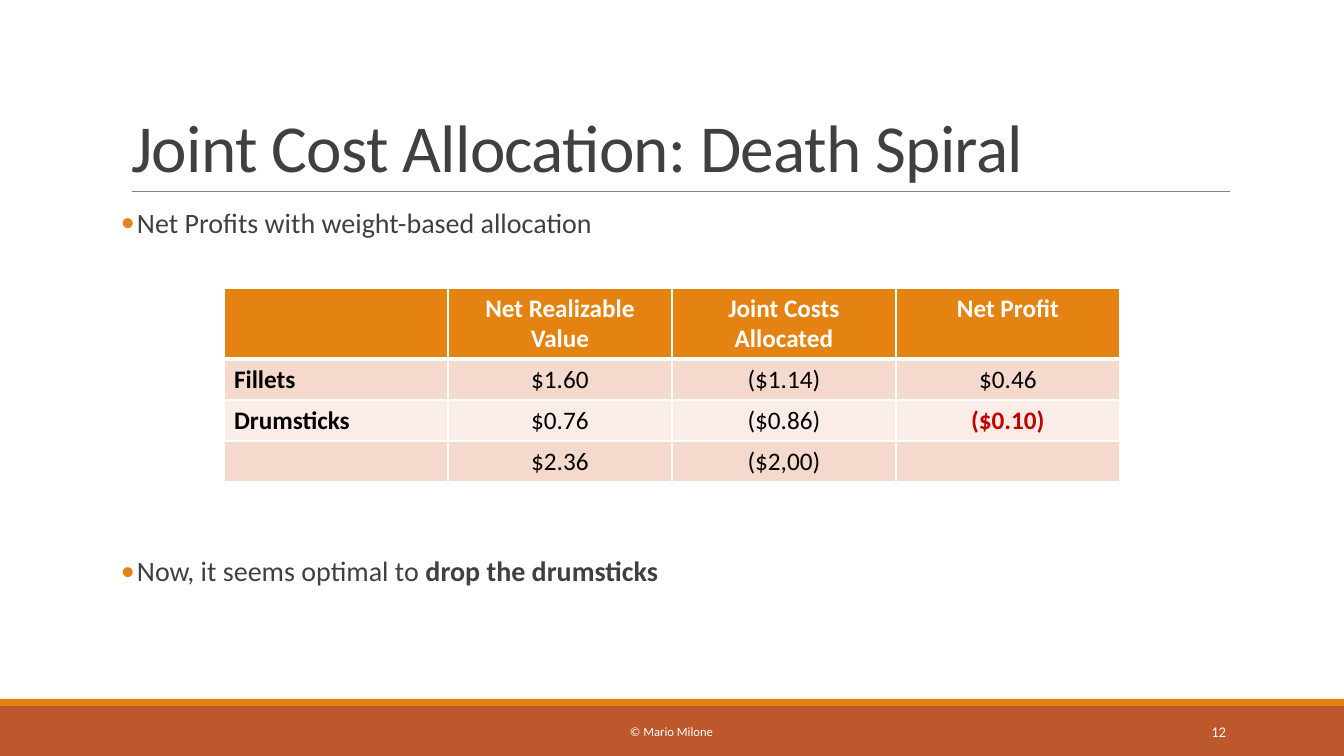
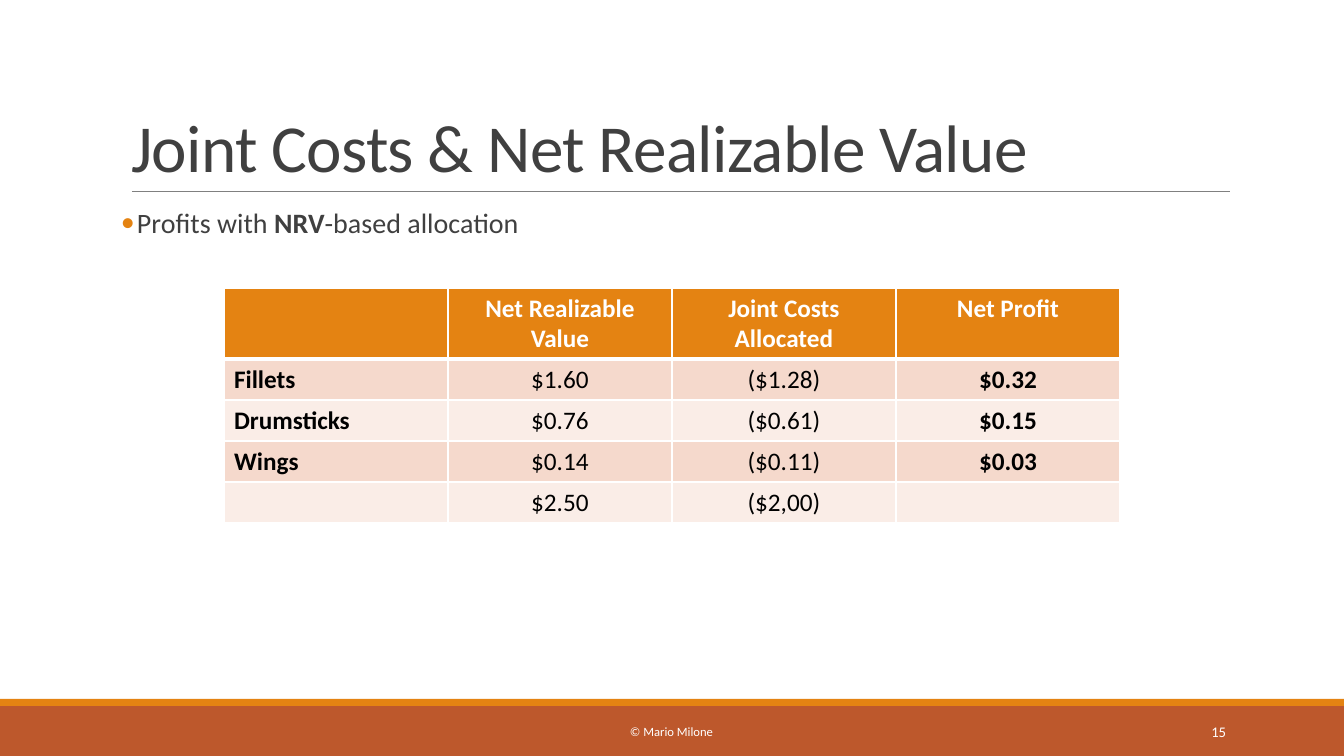
"""Two slides on joint cost allocation, each with a title, bullets and a table."""
from lxml.etree import SubElement
from pptx import Presentation
from pptx.dml.color import RGBColor
from pptx.enum.shapes import MSO_CONNECTOR, MSO_SHAPE
from pptx.enum.text import MSO_ANCHOR, MSO_AUTO_SIZE, PP_ALIGN
from pptx.oxml.ns import qn
from pptx.util import Pt

HUES = {
    "rust": "BD582C", "orange": "E48312", "rule": "808080", "text": "404040",
    "white": "FFFFFF", "black": "000000", "red": "C00000",
    "dark": "F5D9CC", "pale": "FAEDE7",
}
FONT = "Calibri"
CREDIT = "© Mario Milone"
HEADS = ["", "Net Realizable Value", "Joint Costs Allocated", "Net Profit"]
SLIDES = [
    {
        "title": "Joint Cost Allocation: Death Spiral",
        "number": 12,
        "points": [
            ("Net Profits with weight-based allocation", 0),
            ("Now, it seems optimal to **drop the drumsticks**", 225),
        ],
        "rows": [
            ["**Fillets**", "$1.60", "($1.14)", "$0.46"],
            ["**Drumsticks**", "$0.76", "($0.86)", "**($0.10)**"],
            ["", "$2.36", "($2,00)", ""],
        ],
    },
    {
        "title": "Joint Costs & Net Realizable Value",
        "number": 15,
        "points": [("Profits with **NRV**-based allocation", 0)],
        "rows": [
            ["**Fillets**", "$1.60", "($1.28)", "**$0.32**"],
            ["**Drumsticks**", "$0.76", "($0.61)", "**$0.15**"],
            ["**Wings**", "$0.14", "($0.11)", "**$0.03**"],
            ["", "$2.50", "($2,00)", ""],
        ],
    },
]

WIDE, HIGH = 1344, 756
BANDS = [("rust", 706, 50), ("orange", 699, 7)]
RULE = (132, 191, 1230, 191)
TITLE = (121, 31, 1109, 160)
BODY = (121, 204, 1109, 443)
FOOT = (406, 712, 531, 40)
PAGE = (1092, 712, 144, 40)
GRID = (224, 288)
COL, HEAD, ROW = 224, 71, 41
HANG = 16


def px(size):
    return round(size * 914400 / 100.8)


def box(*sizes):
    return [px(size) for size in sizes]


def hue(name):
    return RGBColor.from_string(HUES[name])


def style(item, values):
    for name, value in values.items():
        setattr(item, name, value)


def write(para, text, size, color, **form):
    style(para, form)
    for i, part in enumerate(text.split("**")):
        if part:
            run = para.add_run()
            run.text = part
            style(run.font, {"size": Pt(size), "name": FONT, "bold": i % 2 == 1})
            run.font.color.rgb = hue(color)


def place(shape, area):
    style(shape, dict(zip(("left", "top", "width", "height"), box(*area))))


def bullet(para):
    props = para._p.get_or_add_pPr()
    props.set("marL", str(px(HANG)))
    props.set("indent", str(-px(HANG)))
    tint = SubElement(props, qn("a:buClr"))
    SubElement(tint, qn("a:srgbClr"), val=HUES["orange"])
    SubElement(props, qn("a:buFont"), typeface=FONT)
    SubElement(props, qn("a:buChar"), char="•")


def border(cell, widths):
    props = cell._tc.get_or_add_tcPr()
    for side, width in zip("LRTB", widths):
        line = SubElement(props, qn(f"a:ln{side}"), w=str(Pt(width)))
        fill = SubElement(line, qn("a:solidFill"))
        SubElement(fill, qn("a:srgbClr"), val=HUES["white"])


def decorate(slide, layout):
    shapes = []
    for color, top, height in BANDS:
        band = slide.shapes.add_shape(MSO_SHAPE.RECTANGLE, *box(0, top, WIDE, height))
        band.shadow.inherit = False
        band.fill.solid()
        band.fill.fore_color.rgb = hue(color)
        band.line.fill.background()
        shapes.append(band)
    rule = slide.shapes.add_connector(MSO_CONNECTOR.STRAIGHT, *box(*RULE))
    rule.line.color.rgb = hue("rule")
    rule.line.width = Pt(0.5)
    SubElement(rule.element.spPr, qn("a:effectLst"))
    for shape in shapes + [rule]:
        layout.shapes.element.append(shape.element)


def add_title(slide, text):
    shape = slide.shapes.title
    place(shape, TITLE)
    frame = shape.text_frame
    style(frame, {"vertical_anchor": MSO_ANCHOR.BOTTOM, "auto_size": MSO_AUTO_SIZE.NONE})
    para = frame.paragraphs[0]
    write(para, text, 48, "text", alignment=PP_ALIGN.LEFT, line_spacing=0.85)
    para.runs[0]._r.get_or_add_rPr().set("spc", "-50")


def add_points(slide, points):
    shape = slide.placeholders[1]
    place(shape, BODY)
    frame = shape.text_frame
    style(frame, {"margin_left": 0, "margin_right": 0, "auto_size": MSO_AUTO_SIZE.NONE})
    for i, (text, gap) in enumerate(points):
        para = frame.add_paragraph() if i else frame.paragraphs[0]
        bullet(para)
        write(para, text, 20, "text", line_spacing=0.9,
              space_before=Pt(gap), space_after=Pt(2))


def add_note(slide, area, text, size, align):
    frame = slide.shapes.add_textbox(*box(*area)).text_frame
    style(frame, {"word_wrap": True, "vertical_anchor": MSO_ANCHOR.MIDDLE})
    write(frame.paragraphs[0], text, size, "white", alignment=align)


def add_grid(slide, rows):
    heads = [f"**{head}**" if head else "" for head in HEADS]
    cells = [heads] + rows
    size = box(*GRID, COL * len(HEADS), HEAD + ROW * len(rows))
    table = slide.shapes.add_table(len(cells), len(HEADS), *size).table
    for column in table.columns:
        column.width = px(COL)
    for r, row in enumerate(cells):
        table.rows[r].height = px(ROW if r else HEAD)
        back = ("pale", "dark")[r % 2] if r else "orange"
        for c, text in enumerate(row):
            cell = table.cell(r, c)
            border(cell, (1, 1, 3 if r == 1 else 1, 1 if r else 3))
            cell.fill.solid()
            cell.fill.fore_color.rgb = hue(back)
            loss = c == len(HEADS) - 1 and "(" in text
            color = "red" if loss else "black" if r else "white"
            align = PP_ALIGN.CENTER if c else PP_ALIGN.LEFT
            write(cell.text_frame.paragraphs[0], text, 18, color, alignment=align)


def main():
    deck = Presentation()
    style(deck, {"slide_width": px(WIDE), "slide_height": px(HIGH)})
    layout = deck.slide_layouts[1]
    for i, data in enumerate(SLIDES):
        slide = deck.slides.add_slide(layout)
        if i == 0:
            decorate(slide, layout)
        add_title(slide, data["title"])
        add_points(slide, data["points"])
        add_note(slide, FOOT, CREDIT, 9, PP_ALIGN.CENTER)
        add_note(slide, PAGE, str(data["number"]), 10.5, PP_ALIGN.RIGHT)
        add_grid(slide, data["rows"])
    deck.save("out.pptx")


if __name__ == "__main__":
    main()
